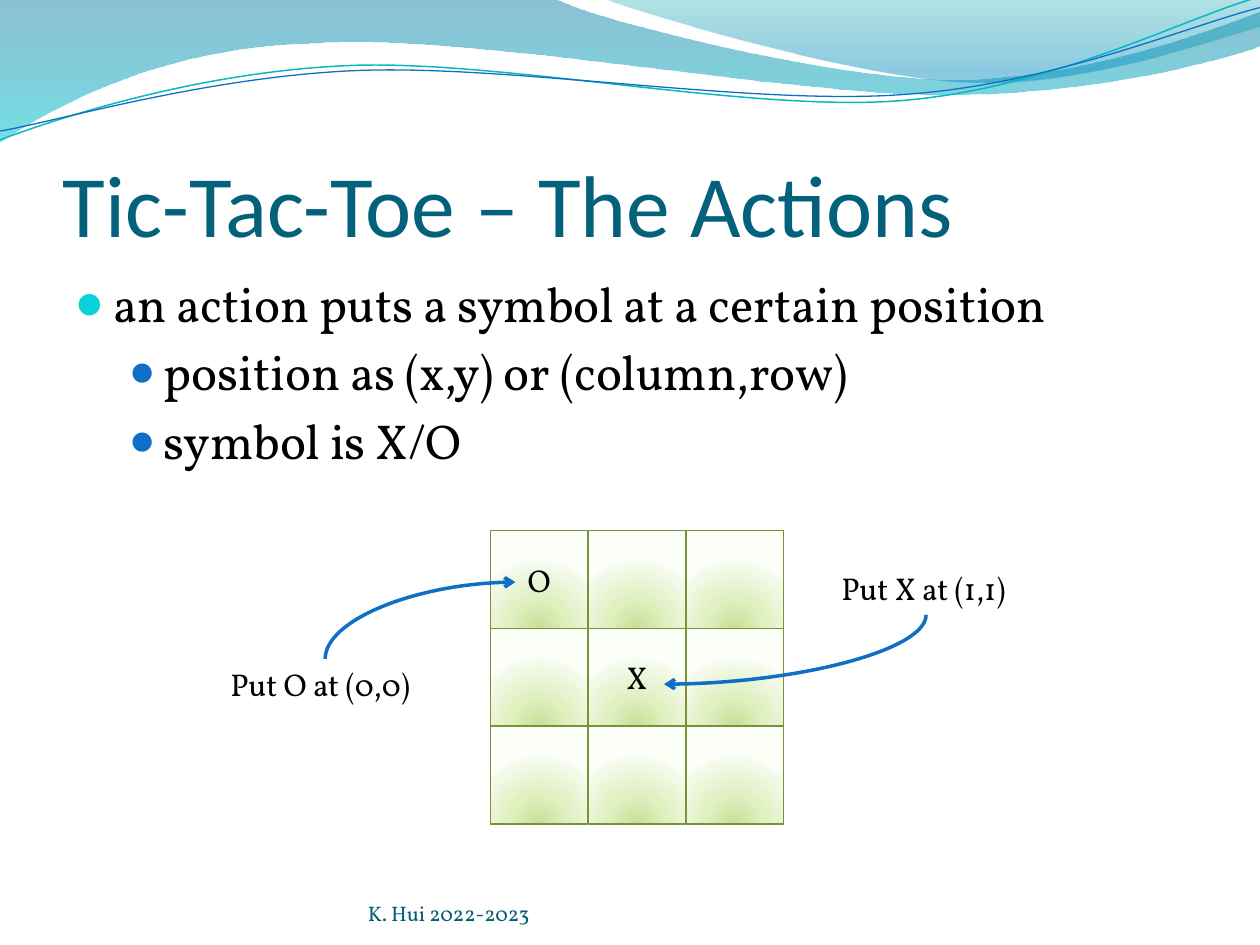
import math

import pptx
import pptx.util
import pptx.oxml
import pptx.oxml.ns
from pptx.dml.color import RGBColor
from pptx.enum.shapes import MSO_CONNECTOR, MSO_SHAPE
from pptx.enum.text import MSO_ANCHOR, MSO_AUTO_SIZE, PP_ALIGN
from pptx.util import Inches

BLACK = RGBColor(0x00, 0x00, 0x00)
TITLE = RGBColor(0x04, 0x61, 0x7B)
FOOTER = RGBColor(0x04, 0x5D, 0x75)
BLUE = RGBColor(0x0F, 0x6F, 0xC6)
TEAL = RGBColor(0x0A, 0xB8, 0xBF)
CYAN = RGBColor(0x0B, 0xD0, 0xD9)
GREEN = RGBColor(0x7B, 0x91, 0x35)
WAVE_TOP = RGBColor(0x00, 0x74, 0xA1)
WAVE_BOTTOM = RGBColor(0x00, 0xC6, 0xCF)
CREST_TOP = RGBColor(0x00, 0xA1, 0xA9)
CREST_BOTTOM = RGBColor(0x00, 0x8B, 0xBF)
CELL_STOPS = [
    (0, RGBColor(0xC9, 0xDF, 0x97), 100), (43, RGBColor(0xE0, 0xF0, 0xC1), 100),
    (93, RGBColor(0xF5, 0xFA, 0xEC), 100), (100, RGBColor(0xFC, 0xFE, 0xF8), 100),
]
DOWNWARD = '<a:lin ang="5400000" scaled="0"/>'
GLOW_FROM_BELOW = ('<a:path path="circle"><a:fillToRect l="50000" t="130000" '
                   'r="50000" b="-30000"/></a:path>')

WAVES = [
    ([(0, 0), (4.4, -0.01), (4.76, 0.17, 6.64, 0.63, 7.58, 0.63),
      (8.53, 0.63, 9.58, 0.26, 10, 0.09), (10.01, 0.36),
      (9.83, 0.44, 8.7, 0.76, 7.46, 0.75), (6.22, 0.75, 3.82, 0.28, 2.57, 0.34),
      (1.29, 0.36, 0.46, 0.83, -0.01, 1.13)],
     [(0, WAVE_TOP, 45), (100, WAVE_BOTTOM, 55)]),
    ([(4.79, -0.01), (5.09, 0.11, 6.82, 0.62, 7.69, 0.65),
      (8.56, 0.69, 9.61, 0.32, 10, 0.21), (10, 0)],
     [(0, CREST_TOP, 30), (80, CREST_BOTTOM, 45)]),
]
RIPPLES = [
    ([(0, 1.11), (0.48, 0.93, 1.58, 0.57, 2.77, 0.52),
      (3.95, 0.47, 5.93, 0.89, 7.13, 0.8), (8.33, 0.71, 9.38, 0.15, 9.98, -0.02)],
     TEAL, 0.85),
    ([(0, 1.04), (0.47, 0.96, 1.64, 0.61, 2.83, 0.56),
      (4.03, 0.51, 5.97, 0.84, 7.17, 0.75), (8.36, 0.67, 9.41, 0.21, 10, 0.06)],
     BLUE, 0.75),
]
RIPPLE_CENTER = (4.99, 0.58)
RIPPLE_TILT = -2.7
BULLETS = [
    (0, "an action puts a symbol at a certain position"),
    (1, "position as (x,y) or (column,row)"),
    (1, "symbol is X/O"),
]
BULLET_STYLES = [(0.3, 0.3, CYAN, 95), (0.7, 0.27, BLUE, 85)]
BOARD = ["O  ", " X ", "   "]
BOARD_LEFT, BOARD_TOP, BOARD_SIZE = 3.89, 4.21, 2.33
ACTIONS = [
    ("Put X at (1,1)", (6.58, 4.47, 1.53, 0.4), (7.35, 4.88), (5.27, 5.43)),
    ("Put O at (0,0)", (1.73, 5.23, 1.69, 0.4), (2.58, 5.23), (4.09, 4.62)),
]


def turn(point, degrees):
    x, y = point[0] - RIPPLE_CENTER[0], point[1] - RIPPLE_CENTER[1]
    sine, cosine = math.sin(math.radians(degrees)), math.cos(math.radians(degrees))
    return (RIPPLE_CENTER[0] + x * cosine - y * sine,
            RIPPLE_CENTER[1] + x * sine + y * cosine)


def draw_curve(slide, segments, close, tilt=0):
    points = [turn(segment[index:index + 2], -tilt)
              for segment in segments for index in range(0, len(segment), 2)]
    start, *rest = [(Inches(x), Inches(y)) for x, y in points]
    builder = slide.shapes.build_freeform(*start)
    builder.add_line_segments(rest, close=close)
    shape = builder.convert_to_shape()
    shape.shadow.inherit = False
    shape.rotation = tilt
    lines = iter(list(shape.element.iter(pptx.oxml.ns.qn("a:lnTo"))))
    for segment in segments[1:]:
        first = next(lines)
        if len(segment) == 6:
            curve = pptx.oxml.parse_xml(f'<a:cubicBezTo {pptx.oxml.ns.nsdecls("a")}/>')
            first.addprevious(curve)
            for line in (first, next(lines), next(lines)):
                curve.append(line[0])
                line.getparent().remove(line)
    return shape


def fill_gradient(shape, stops, direction):
    shape.fill.background()
    properties = shape.element.spPr
    stop_list = "".join(
        f'<a:gs pos="{position * 1000}"><a:srgbClr val="{color}">'
        f'<a:alpha val="{opacity * 1000}"/></a:srgbClr></a:gs>'
        for position, color, opacity in stops)
    gradient = pptx.oxml.parse_xml(
        f'<a:gradFill {pptx.oxml.ns.nsdecls("a")} rotWithShape="1">'
        f'<a:gsLst>{stop_list}</a:gsLst>{direction}</a:gradFill>')
    properties.replace(properties.find(pptx.oxml.ns.qn("a:noFill")), gradient)


def set_line(shape, color, width):
    shape.line.color.rgb = color
    shape.line.width = pptx.util.Pt(width)


def add_run(paragraph, text, size, color=BLACK, font="Vollkorn"):
    run = paragraph.add_run()
    run.text = text
    run.font.size = pptx.util.Pt(size)
    run.font.name = font
    run.font.color.rgb = color


def add_text_box(slide, box, anchor=MSO_ANCHOR.TOP, insets=(0.1, 0.05, 0.1, 0.05)):
    frame = slide.shapes.add_textbox(*map(Inches, box)).text_frame
    frame.word_wrap = True
    frame.vertical_anchor = anchor
    (frame.margin_left, frame.margin_top,
     frame.margin_right, frame.margin_bottom) = map(Inches, insets)
    return frame


def style_bullet(paragraph, level):
    left, hanging, color, size = BULLET_STYLES[level]
    paragraph.level = level
    properties = paragraph._p.get_or_add_pPr()
    properties.set("marL", str(Inches(left)))
    properties.set("indent", str(-Inches(hanging)))
    for xml in ('<a:spcBef {}><a:spcPct val="20000"/></a:spcBef>',
                '<a:buClr {}>' + f'<a:srgbClr val="{color}"/></a:buClr>',
                '<a:buSzPct {} ' + f'val="{size * 1000}"/>',
                '<a:buFont {} typeface="Calibri"/>',
                '<a:buChar {} char="●"/>'):
        properties.append(pptx.oxml.parse_xml(xml.format(pptx.oxml.ns.nsdecls("a"))))


def add_arrow(slide, start, end):
    center_x, center_y = (start[0] + end[0]) / 2, (start[1] + end[1]) / 2
    half_x, half_y = (end[0] - start[0]) / 2, (end[1] - start[1]) / 2
    arrow = slide.shapes.add_connector(
        MSO_CONNECTOR.CURVE,
        Inches(center_x - half_y), Inches(center_y + half_x),
        Inches(center_x + half_y), Inches(center_y - half_x))
    set_line(arrow, BLUE, 2)
    properties = arrow.element.spPr
    properties.find(pptx.oxml.ns.qn("a:xfrm")).set("rot", "5400000")
    properties.find(pptx.oxml.ns.qn("a:prstGeom")).set("prst", "curvedConnector2")
    namespace = pptx.oxml.ns.nsdecls("a")
    properties.find(pptx.oxml.ns.qn("a:ln")).append(
        pptx.oxml.parse_xml(f'<a:tailEnd {namespace} type="arrow"/>'))
    properties.append(pptx.oxml.parse_xml(f"<a:effectLst {namespace}/>"))


def main():
    presentation = pptx.Presentation()
    presentation.slide_width, presentation.slide_height = Inches(10), Inches(7.5)
    slide = presentation.slides.add_slide(presentation.slide_layouts[6])

    for segments, stops in WAVES:
        wave = draw_curve(slide, segments, True)
        fill_gradient(wave, stops, DOWNWARD)
        wave.line.fill.background()
    for segments, color, width in RIPPLES:
        ripple = draw_curve(slide, segments, False, RIPPLE_TILT)
        ripple.fill.background()
        set_line(ripple, color, width)

    title = add_text_box(slide, (0.5, 0.77, 9, 1.25), MSO_ANCHOR.BOTTOM, (0, 0.05, 0, 0))
    add_run(title.paragraphs[0], "Tic-Tac-Toe – The Actions", 50, TITLE, "Calibri")

    body = add_text_box(slide, (0.5, 2.12, 9, 2.09))
    for index, (level, text) in enumerate(BULLETS):
        paragraph = body.add_paragraph() if index else body.paragraphs[0]
        style_bullet(paragraph, level)
        add_run(paragraph, text, 28)

    footer = add_text_box(slide, (2.92, 6.95, 3.67, 0.4), MSO_ANCHOR.BOTTOM, (0, 0, 0, 0))
    add_run(footer.paragraphs[0], "K. Hui 2022-2023", 12, FOOTER)

    side = BOARD_SIZE / len(BOARD)
    for row, symbols in enumerate(BOARD):
        for column, symbol in enumerate(symbols):
            cell = slide.shapes.add_shape(
                MSO_SHAPE.RECTANGLE, Inches(BOARD_LEFT + column * side),
                Inches(BOARD_TOP + row * side), Inches(side), Inches(side))
            cell.shadow.inherit = False
            fill_gradient(cell, CELL_STOPS, GLOW_FROM_BELOW)
            set_line(cell, GREEN, 0.75)
            if symbol.strip():
                cell.text_frame.vertical_anchor = MSO_ANCHOR.MIDDLE
                paragraph = cell.text_frame.paragraphs[0]
                paragraph.alignment = PP_ALIGN.CENTER
                add_run(paragraph, symbol, 18)

    for text, box, start, end in ACTIONS:
        label = add_text_box(slide, box)
        label.word_wrap = False
        label.auto_size = MSO_AUTO_SIZE.SHAPE_TO_FIT_TEXT
        add_run(label.paragraphs[0], text, 18)
        add_arrow(slide, start, end)

    presentation.save("out.pptx")


if __name__ == "__main__":
    main()
